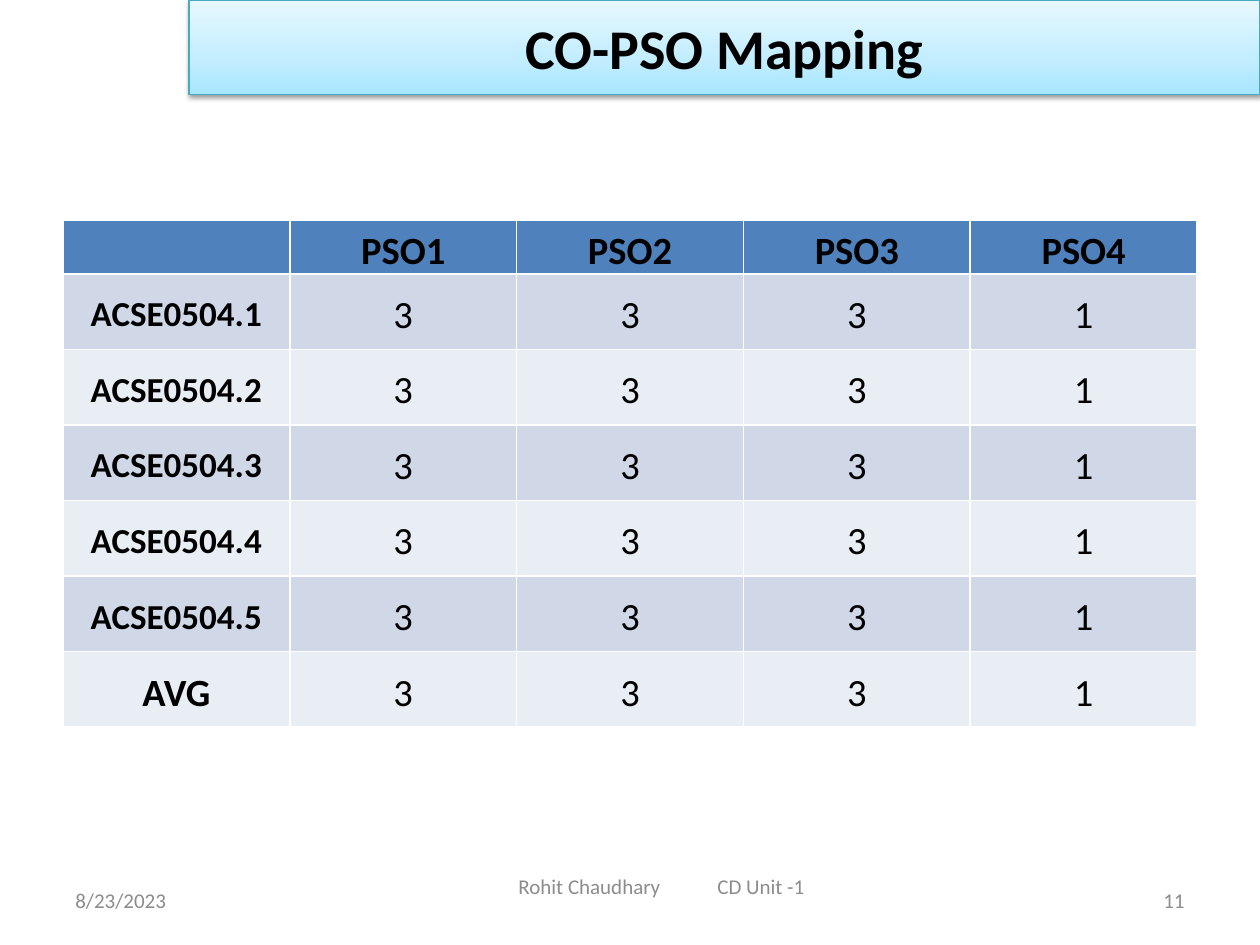
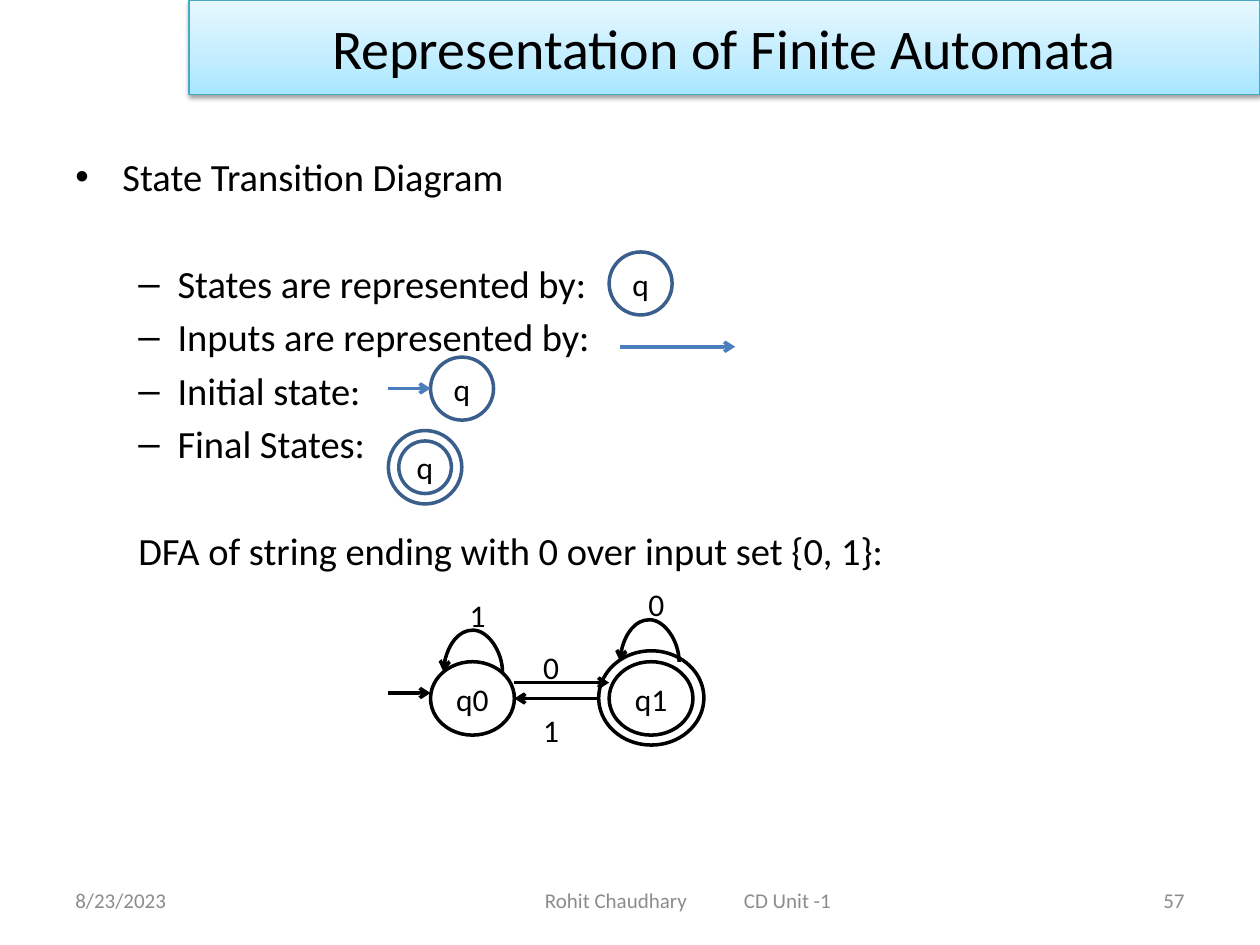
from copy import deepcopy

from pptx import Presentation
from pptx.dml.color import RGBColor
from pptx.enum import shapes, text
from pptx.oxml import parse_xml
from pptx.oxml.ns import nsdecls, qn
from pptx.util import Cm, Pt

FONT = "Calibri"
BLACK = RGBColor(0x00, 0x00, 0x00)
GREY = RGBColor(0x8C, 0x8C, 0x8C)
NAVY = RGBColor(0x3A, 0x5F, 0x8C)
BLUE = RGBColor(0x4B, 0x7E, 0xBC)
TEAL = RGBColor(0x46, 0xAA, 0xC5)
HEAD = RGBColor(0x4F, 0x81, 0xBD)
BANDS = [RGBColor(0xD0, 0xD8, 0xE8), RGBColor(0xE9, 0xED, 0xF4)]
GLOW = [(0, RGBColor(0xA7, 0xE6, 0xFF)),
        (0.35, RGBColor(0xC1, 0xED, 0xFF)),
        (1, RGBColor(0xE7, 0xF8, 0xFF))]

LEFT, MID, RIGHT = text.PP_ALIGN.LEFT, text.PP_ALIGN.CENTER, text.PP_ALIGN.RIGHT
STRAIGHT, CURVE = shapes.MSO_CONNECTOR.STRAIGHT, shapes.MSO_CONNECTOR.CURVE


def node(xml):
    """Build one drawing element from short markup."""
    tag, *rest = xml.split(" ", 1)
    return parse_xml(f"<a:{tag} {nsdecls('a')} {rest[0] if rest else ''}/>")


class Deck:
    def __init__(self):
        self.prs = Presentation()
        self.prs.slide_width, self.prs.slide_height = Cm(25.4), Cm(19.05)

    def page(self, title, num, foot, bold=False):
        """Start a slide with title band, date, footer and number."""
        self.slide = self.prs.slides.add_slide(self.prs.slide_layouts[6])
        self.band(title, bold)
        self.label("8/23/2023", (1.27, 17.65, 5.93, 1.01), 12, GREY, LEFT)
        self.label(num, (18.2, 17.65, 5.93, 1.01), 12, GREY, RIGHT)
        box = self.label("Rohit Chaudhary", foot, 12, GREY)
        para = box.text_frame.paragraphs[0]
        for part in (" ", "CD Unit -1"):
            run = para.add_run()
            run.text = part
            self.style(run.font, 12, GREY)
        # One widely spaced blank parts the author from the unit
        para.runs[1].font._element.set("spc", "2980")

    def style(self, font, size, color=BLACK, bold=False):
        font.name, font.size, font.bold = FONT, Pt(size), bold
        font.color.rgb = color

    def fill_in(self, shape, words, size, color=BLACK, align=MID, bold=False):
        frame = shape.text_frame
        frame.text = words
        frame.vertical_anchor = text.MSO_ANCHOR.MIDDLE
        para = frame.paragraphs[0]
        para.alignment = align
        for run in para.runs:
            self.style(run.font, size, color, bold)

    def label(self, words, at, size=18, color=BLACK, align=MID):
        box = self.slide.shapes.add_textbox(*map(Cm, at))
        box.text_frame.word_wrap = True
        self.fill_in(box, words, size, color, align)
        return box

    def band(self, title, bold):
        box = self.slide.shapes.add_shape(
            shapes.MSO_SHAPE.RECTANGLE, Cm(3.81), 0, Cm(21.59), Cm(1.9))
        box.fill.gradient()
        box.fill.gradient_angle = 90
        props = box._element.spPr
        stops = props.find(".//" + qn("a:gsLst"))
        stops.insert(1, deepcopy(stops[0]))
        for stop, (pos, color) in zip(box.fill.gradient_stops, GLOW):
            stop.position, stop.color.rgb = pos, color
        box.line.color.rgb, box.line.width = TEAL, Pt(0.75)
        # Soft shadow below the band
        box.shadow.inherit = False
        shade = node('outerShdw blurRad="39370" dist="20320" dir="5400000" rotWithShape="0"')
        black = node('srgbClr val="000000"')
        black.append(node('alpha val="38000"'))
        shade.append(black)
        props.find(qn("a:effectLst")).append(shade)
        self.fill_in(box, title, 32, bold=bold)

    def ring(self, at, color, words=""):
        oval = self.slide.shapes.add_shape(shapes.MSO_SHAPE.OVAL, *map(Cm, at))
        oval.shadow.inherit = False
        oval.fill.background()
        oval.line.color.rgb, oval.line.width = color, Pt(2)
        if words:
            self.fill_in(oval, words, 18)
            oval.text_frame.word_wrap = False

    def arrow(self, ends, color=BLACK, kind=STRAIGHT):
        line = self.slide.shapes.add_connector(kind, *map(Cm, ends))
        line.line.color.rgb, line.line.width = color, Pt(2)
        line.line._get_or_add_ln().append(node('tailEnd type="arrow"'))
        line._element.spPr.append(node("effectLst"))
        return line

    def loop(self, mid, base, span=1.19):
        """Arrow that leaves a state on the right and returns on the left."""
        top = base - span / 2
        line = self.arrow((mid, top, mid + 0.01, top + span), kind=CURVE)
        props = line._element.spPr
        props.xfrm.rot, props.xfrm.flipV = 270, True
        geom = props.find(qn("a:prstGeom"))
        for old in list(geom):
            geom.remove(old)
        guides = node("avLst")
        guides.append(node('gd name="adj1" fmla="val 8500000"'))
        geom.append(guides)

    def grid(self, rows, at, first):
        height = at[3]
        table = self.slide.shapes.add_table(
            len(rows), len(rows[0]), *map(Cm, at)).table
        step = (height - first) / (len(rows) - 1)
        for r, row in enumerate(rows):
            table.rows[r].height = Cm(step if r else first)
            for c, words in enumerate(row):
                cell = table.cell(r, c)
                cell.fill.solid()
                cell.fill.fore_color.rgb = BANDS[(r - 1) % 2] if r else HEAD
                if not words:
                    continue
                size = 20 if words.startswith("ACSE") else 22
                self.fill_in(cell, words, size, bold=r == 0 or c == 0)
                cell.text_frame.paragraphs[0].line_spacing = 1.15
                cell.margin_left = cell.margin_right = Cm(0.18)
                cell.margin_top = cell.margin_bottom = 0
                cell.vertical_anchor = (text.MSO_ANCHOR.MIDDLE if r
                                        else text.MSO_ANCHOR.TOP)

    def points(self, items, at):
        """Bulleted text; each item is mark, words, space before."""
        box = self.slide.shapes.add_textbox(*map(Cm, at))
        frame = box.text_frame
        frame.word_wrap = True
        for i, (mark, words, gap) in enumerate(items):
            para = frame.paragraphs[0] if i == 0 else frame.add_paragraph()
            para.text = words
            para.space_before = Pt(gap)
            props = para._p.get_or_add_pPr()
            pad, hang = (0.95, 0.95) if mark == "•" else (2.06, 0.79)
            props.set("marL", str(Cm(pad)))
            props.set("indent", str(-Cm(hang)))
            if mark:
                props.append(node('buFont typeface="Arial"'))
                props.append(node(f'buChar char="{mark}"'))
            else:
                props.append(node("buNone"))
            self.style(para.runs[0].font, 22)


def mapping(deck):
    deck.page("CO-PSO Mapping", "11", (6.35, 17.35, 13.97, 1.01), bold=True)
    names = [f"ACSE0504.{n}" for n in range(1, 6)] + ["AVG"]
    rows = [[""] + [f"PSO{n}" for n in range(1, 5)]]
    rows += [[name, "3", "3", "3", "1"] for name in names]
    deck.grid(rows, (1.27, 4.45, 22.86, 10.19), 1.05)


def automata(deck):
    deck.page("Representation of Finite Automata", "57", (6.15, 17.65, 15.44, 1.01))
    near, far = 4, 34.9
    deck.points([
        ("•", "State Transition Diagram", 0),
        ("–", "States are represented by:", far),
        ("–", "Inputs are represented by:", near),
        ("–", "Initial state:", near),
        ("–", "Final States:", near),
        ("", "DFA of string ending with 0 over input set {0, 1}:", far),
    ], (1.27, 2.96, 22.86, 14.05))

    # Legend of symbols
    deck.ring((12.28, 5.08, 1.27, 1.27), NAVY, "q")
    deck.arrow((12.49, 6.99, 14.82, 6.99), BLUE)
    deck.ring((8.68, 7.2, 1.27, 1.27), NAVY, "q")
    deck.arrow((7.83, 7.83, 8.68, 7.83), BLUE)
    deck.ring((8.04, 8.89, 1.06, 1.06), NAVY, "q")
    deck.ring((7.83, 8.68, 1.48, 1.48), NAVY)

    # States of the automaton
    deck.ring((8.68, 13.34, 1.69, 1.48), BLACK, "q0")
    deck.ring((12.28, 13.34, 1.69, 1.48), BLACK, "q1")
    deck.ring((12.07, 13.12, 2.12, 1.9), BLACK)

    # Moves between states
    deck.arrow((7.83, 13.97, 8.68, 13.97))
    deck.arrow((10.37, 13.76, 12.28, 13.76))
    deck.arrow((12.07, 14.08, 10.37, 14.08))
    deck.loop(9.53, 13.55)
    deck.loop(13.09, 13.34)
    for words, x, y in [("0", 12.7, 11.85), ("1", 10.58, 14.39),
                        ("1", 9.1, 12.07), ("0", 10.58, 13.12)]:
        deck.label(words, (x, y, 1.06, 0.64))


def main():
    deck = Deck()
    mapping(deck)
    automata(deck)
    deck.prs.save("out.pptx")


if __name__ == "__main__":
    main()
